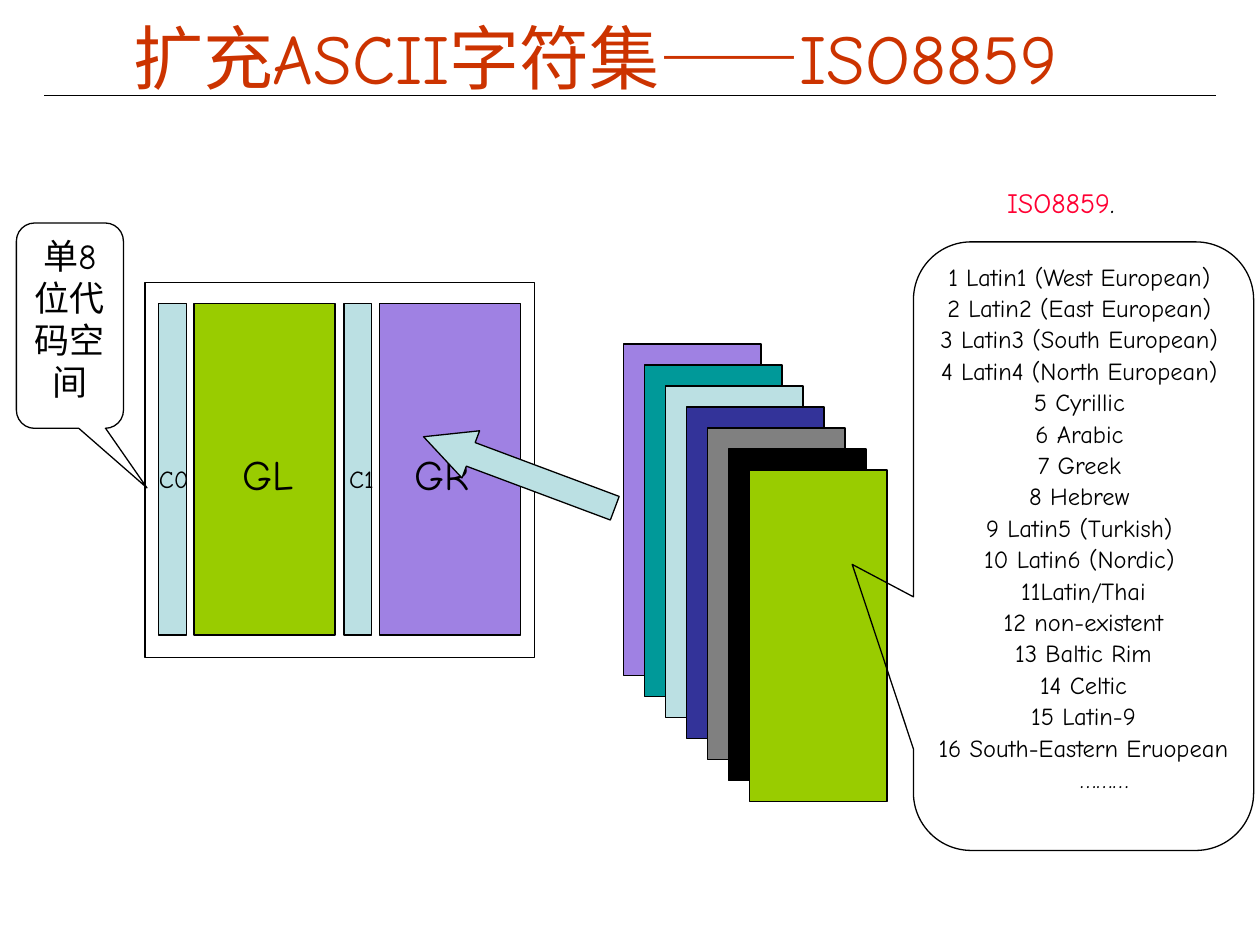
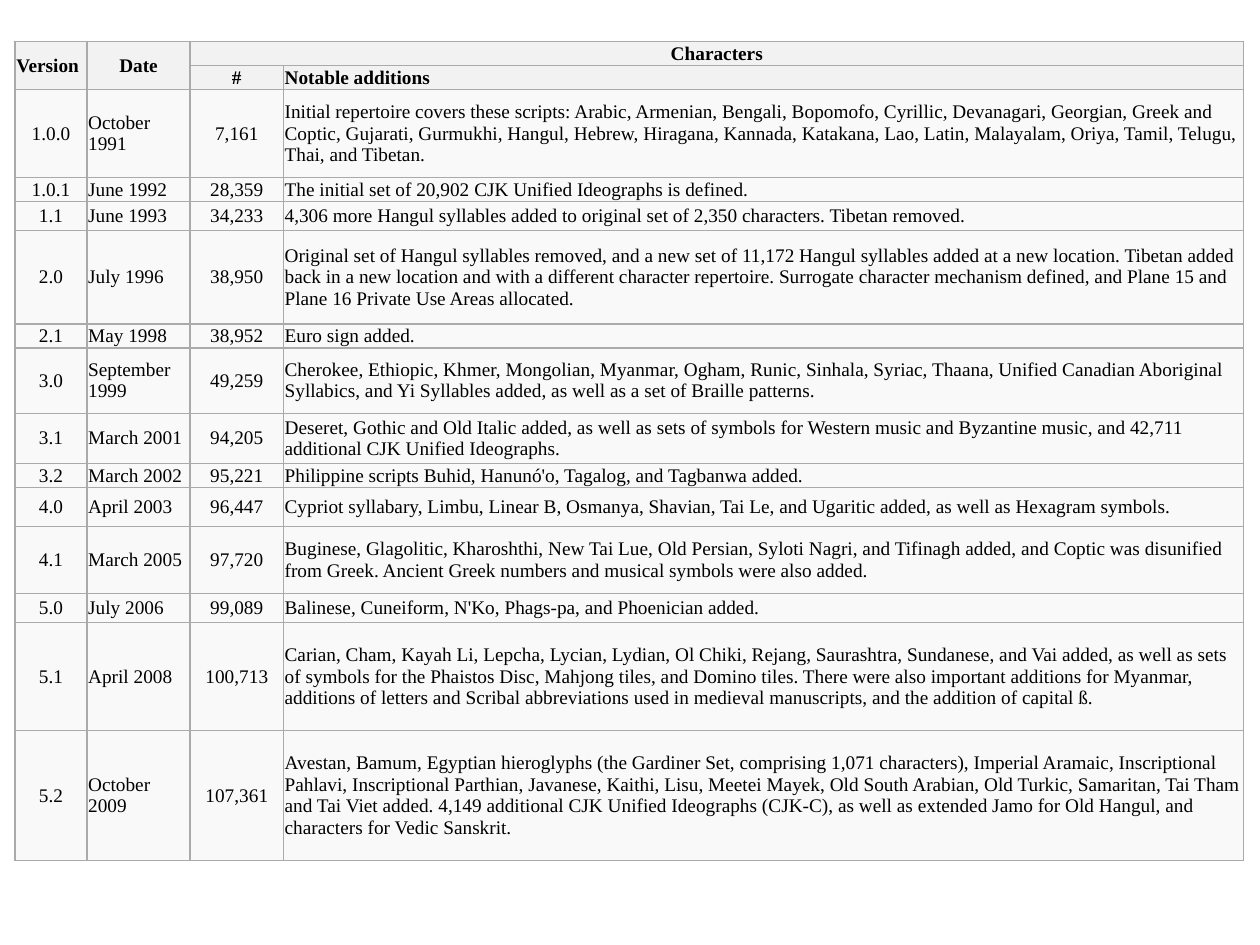
from lxml.etree import SubElement
from pptx import Presentation
from pptx.dml.color import RGBColor
from pptx.enum.shapes import MSO_CONNECTOR, MSO_SHAPE as SHAPE
from pptx.enum.text import MSO_ANCHOR as ANCHOR, PP_ALIGN as ALIGN
from pptx.oxml.ns import qn
from pptx.util import Inches, Pt

COLS, ROWS = 10, 7.5
CELL = Inches(1)
SANS, SERIF = "Comic Neue", "Times New Roman"
BLACK, WHITE, TITLE, ACCENT = "000000", "FFFFFF", "CC3300", "FF0033"
PALE, GREEN, PURPLE = "BBE0E3", "99CC00", "9F81E3"
TEAL, NAVY, GRAY = "009999", "333399", "808080"
HEAD_FILL, BODY_FILL, GRID_LINE = "F2F2F2", "F9F9F9", "AAAAAA"

LATIN_PARTS = [
    "1 Latin1 (West European) ", "2 Latin2 (East European) ",
    "3 Latin3 (South European) ", "4 Latin4 (North European) ",
    "5 Cyrillic ", "6 Arabic ", "7 Greek ", "8 Hebrew ",
    "9 Latin5 (Turkish) ", "10 Latin6 (Nordic) ", "11Latin/Thai",
    "12 non-existent", "13 Baltic Rim", "14 Celtic", "15 Latin-9",
    "16 South-Eastern Eruopean", "………",
]
COL_WIDTHS = [0.57, 0.82, 0.74, 7.62]
FIRST_TIGHT_CELL = (8, 2)
VERSIONS = [
    (0.7, "1.0.0", "October 1991", "7,161",
     "Initial repertoire covers these scripts: Arabic, Armenian, Bengali, Bopomofo, Cyrillic, "
     "Devanagari, Georgian, Greek and Coptic, Gujarati, Gurmukhi, Hangul, Hebrew, Hiragana, "
     "Kannada, Katakana, Lao, Latin, Malayalam, Oriya, Tamil, Telugu, Thai, and Tibetan."),
    (0.19, "1.0.1", "June 1992", "28,359",
     "The initial set of 20,902 CJK Unified Ideographs is defined."),
    (0.23, "1.1", "June 1993", "34,233",
     "4,306 more Hangul syllables added to original set of 2,350 characters. Tibetan removed."),
    (0.74, "2.0", "July 1996", "38,950",
     "Original set of Hangul syllables removed, and a new set of 11,172 Hangul syllables added "
     "at a new location. Tibetan added back in a new location and with a different character "
     "repertoire. Surrogate character mechanism defined, and Plane 15 and Plane 16 Private Use "
     "Areas allocated."),
    (0.19, "2.1", "May 1998", "38,952", "Euro sign added."),
    (0.52, "3.0", "September 1999", "49,259",
     "Cherokee, Ethiopic, Khmer, Mongolian, Myanmar, Ogham, Runic, Sinhala, Syriac, Thaana, "
     "Unified Canadian Aboriginal Syllabics, and Yi Syllables added, as well as a set of "
     "Braille patterns."),
    (0.4, "3.1", "March 2001", "94,205",
     "Deseret, Gothic and Old Italic added, as well as sets of symbols for Western music and "
     "Byzantine music, and 42,711 additional CJK Unified Ideographs."),
    (0.19, "3.2", "March 2002", "95,221",
     "Philippine scripts Buhid, Hanunó'o, Tagalog, and Tagbanwa added."),
    (0.31, "4.0", "April 2003", "96,447",
     "Cypriot syllabary, Limbu, Linear B, Osmanya, Shavian, Tai Le, and Ugaritic added, as well "
     "as Hexagram symbols."),
    (0.53, "4.1", "March 2005", "97,720",
     "Buginese, Glagolitic, Kharoshthi, New Tai Lue, Old Persian, Syloti Nagri, and Tifinagh "
     "added, and Coptic was disunified from Greek. Ancient Greek numbers and musical symbols "
     "were also added."),
    (0.23, "5.0", "July 2006", "99,089",
     "Balinese, Cuneiform, N'Ko, Phags-pa, and Phoenician added."),
    (0.86, "5.1", "April 2008", "100,713",
     "Carian, Cham, Kayah Li, Lepcha, Lycian, Lydian, Ol Chiki, Rejang, Saurashtra, Sundanese, "
     "and Vai added, as well as sets of symbols for the Phaistos Disc, Mahjong tiles, and Domino "
     "tiles. There were also important additions for Myanmar, additions of letters and Scribal "
     "abbreviations used in medieval manuscripts, and the addition of capital ß."),
    (1.03, "5.2", "October 2009", "107,361",
     "Avestan, Bamum, Egyptian hieroglyphs (the Gardiner Set, comprising 1,071 characters), "
     "Imperial Aramaic, Inscriptional Pahlavi, Inscriptional Parthian, Javanese, Kaithi, Lisu, "
     "Meetei Mayek, Old South Arabian, Old Turkic, Samaritan, Tai Tham and Tai Viet added. 4,149 "
     "additional CJK Unified Ideographs (CJK-C), as well as extended Jamo for Old Hangul, and "
     "characters for Vedic Sanskrit."),
]


def rgb(value):
    """Turn a hex string into a colour."""
    return RGBColor.from_string(value)


def grid(*lengths):
    """Turn columns and rows into slide lengths."""
    return [round(n * CELL) for n in lengths]


def apply(obj, **formats):
    """Set each format value as an attribute."""
    for name, value in formats.items():
        setattr(obj, name, value)


def add_run(p, text, size, color=BLACK, font=SANS, bold=False):
    """Add one formatted run to a paragraph."""
    r = p.add_run()
    r.text = text
    apply(r.font, name=font, size=Pt(size), bold=bold)
    r.font.color.rgb = rgb(color)


def space_before(p, percent):
    """Space a paragraph by a share of its line height."""
    p.space_before = Pt(0)
    spacing = p._p.pPr.find(qn("a:spcBef"))
    spacing.clear()
    SubElement(spacing, qn("a:spcPct"), val=str(percent * 1000))


def add_shape(shapes, kind, box, fill=None, line=BLACK, adj=()):
    """Add a flat preset shape in a box of the grid."""
    sp = shapes.add_shape(kind, *grid(*box))
    sp.shadow.inherit = False
    for i, value in enumerate(adj):
        sp.adjustments[i] = value
    if fill:
        sp.fill.solid()
        sp.fill.fore_color.rgb = rgb(fill)
    else:
        sp.fill.background()
    if line:
        sp.line.color.rgb = rgb(line)
        sp.line.width = Pt(0.75)
    else:
        sp.line.fill.background()
    return sp


def write(sp, runs, size, anchor=ANCHOR.TOP, wrap=True, before=50):
    """Write one centred paragraph of (text, colour) runs."""
    tf = sp.text_frame
    apply(tf, word_wrap=wrap, vertical_anchor=anchor)
    p = tf.paragraphs[0]
    p.alignment = ALIGN.CENTER
    space_before(p, before)
    for text, color in runs:
        add_run(p, text, size, color)


def add_label(shapes, text, size, box):
    """Add a short unwrapped label."""
    write(shapes.add_textbox(*grid(*box)), [(text, BLACK)], size, wrap=False)


def add_master_rule(prs, s):
    """Draw the title rule and hand it to the master, so that all slides share it."""
    rule = s.shapes.add_connector(MSO_CONNECTOR.STRAIGHT, *grid(0.35, 0.76, COLS - 0.35, 0.76))
    rule.line.color.rgb = rgb(BLACK)
    rule.line.width = Pt(0.75)
    SubElement(rule._element.spPr, qn("a:effectLst"))
    prs.slide_master.shapes._spTree.append(rule._element)


def add_title(s, text):
    """Place the title."""
    sp = s.shapes.add_textbox(*grid(0.47, 0.21, 8.51, 0.48))
    write(sp, [(text, TITLE)], 40, ANCHOR.MIDDLE, before=0)


def add_code_space(s, box):
    """Draw the 8-bit code space as two halves of control strip and graphic pane."""
    shapes = s.shapes.add_group_shape().shapes
    x, y, w, h = box
    add_shape(shapes, SHAPE.RECTANGLE, box)
    halves = [x + 0.11, x + 0.11 + 1.47]
    top, height = y + 0.17, h - 0.35
    for left in halves:
        add_shape(shapes, SHAPE.RECTANGLE, (left, top, 0.22, height), PALE)
    for left, fill in zip(halves, (GREEN, PURPLE)):
        add_shape(shapes, SHAPE.RECTANGLE, (left + 0.28, top, 1.12, height), fill)
    for text, left in (("C0", 0.01), ("C1", 1.5)):
        add_label(shapes, text, 14, (x + left, y + 1.39, 0.44, 0.34))
    for text, left in (("GR", 1.96), ("GL", 0.58)):
        add_label(shapes, text, 24, (x + left, y + 1.27, 0.79, 0.5))


def add_character_sets(s, box):
    """Draw the stack of code pages with the callout that lists them."""
    shapes = s.shapes.add_group_shape().shapes
    x, y, w, h = box
    fills = [PURPLE, TEAL, PALE, NAVY, GRAY, BLACK, GREEN]
    for i, fill in enumerate(fills):
        shift = i / (len(fills) - 1)
        add_shape(shapes, SHAPE.RECTANGLE, (x + shift, y + 1.31 + shift, 1.09, 2.63), fill)
    sp = add_shape(shapes, SHAPE.ROUNDED_RECTANGULAR_CALLOUT,
                   (x + w - 2.7, y + 0.5, 2.7, h - 0.5), adj=(-0.68, 0.03, 0.17))
    tf = sp.text_frame
    apply(tf, margin_left=0, margin_right=0, word_wrap=True, vertical_anchor=ANCHOR.TOP)
    for i, text in enumerate(LATIN_PARTS):
        p = tf.add_paragraph() if i else tf.paragraphs[0]
        apply(p, alignment=ALIGN.CENTER, line_spacing=0.9)
        space_before(p, 20)
        indent = 0.83 if text == LATIN_PARTS[-1] else 0.5
        p._p.pPr.set("marL", str(Inches(indent)))
        p._p.pPr.set("indent", str(Inches(-0.5)))
        add_run(p, text, 14)
    heading = add_shape(shapes, SHAPE.RECTANGLE, (x + 2.63, y, 1.75, 0.37), WHITE, None)
    write(heading, [("ISO8859", ACCENT), (". ", BLACK)], 16)


def build_iso_slide(prs):
    """Build the slide on extended character sets."""
    s = prs.slides.add_slide(prs.slide_layouts[6])
    add_master_rule(prs, s)
    add_title(s, "扩充ASCII字符集——ISO8859")
    add_code_space(s, (1.15, 2.24, 3.09, 2.98))
    sp = add_shape(s.shapes, SHAPE.ROUNDED_RECTANGULAR_CALLOUT,
                   (0.13, 1.77, 0.85, 1.63), adj=(0.72, 0.79, 0.17))
    write(sp, [("单8位代码空间", BLACK)], 20)
    add_character_sets(s, (4.95, 1.42, 5, 5.33))
    arrow = add_shape(s.shapes, SHAPE.LEFT_ARROW, (3.31, 3.55, 1.62, 0.4), PALE, adj=(0.5, 1))
    arrow.rotation = 20.5


def fill_cell(cell, text, align, fill, bold, gap):
    """Fill one table cell and draw its borders."""
    margin = Inches(0.01)
    apply(cell, vertical_anchor=ANCHOR.MIDDLE, margin_left=margin, margin_right=margin,
          margin_top=margin, margin_bottom=margin)
    cell.fill.solid()
    cell.fill.fore_color.rgb = rgb(fill)
    tcPr = cell._tc.get_or_add_tcPr()
    for i, side in enumerate(("a:lnL", "a:lnR", "a:lnT", "a:lnB")):
        ln = SubElement(tcPr, qn(side), w=str(Pt(1)))
        SubElement(SubElement(ln, qn("a:solidFill")), qn("a:srgbClr"), val=GRID_LINE)
        tcPr.insert(i, ln)
    p = cell.text_frame.paragraphs[0]
    apply(p, alignment=align, space_before=Pt(gap), space_after=Pt(gap))
    if text:
        add_run(p, text, 11, font=SERIF, bold=bold)
    else:
        p.font.size = Pt(11)


def build_version_slide(prs):
    """Build the slide with the table of versions."""
    s = prs.slides.add_slide(prs.slide_layouts[6])
    rows = [(0.19, "Version", "Date", "Characters", ""),
            (0.19, "", "", "#", "Notable additions")] + VERSIONS
    box = grid(0.12, 0.33, sum(COL_WIDTHS), sum(row[0] for row in rows))
    table = s.shapes.add_table(len(rows), len(COL_WIDTHS), *box).table
    for col, width in zip(table.columns, COL_WIDTHS):
        col.width = Inches(width)
    body_aligns = [ALIGN.CENTER, ALIGN.LEFT, ALIGN.CENTER, ALIGN.LEFT]
    head_aligns = [ALIGN.LEFT, ALIGN.CENTER, ALIGN.CENTER, ALIGN.LEFT]
    for i, (height, *texts) in enumerate(rows):
        table.rows[i].height = Inches(height)
        head = i < 2
        for j, text in enumerate(texts):
            align = (head_aligns if head else body_aligns)[j]
            gap = 12 if (i, j) < FIRST_TIGHT_CELL else 0
            fill_cell(table.cell(i, j), text, align, HEAD_FILL if head else BODY_FILL, head, gap)
    for first, last in (((0, 0), (1, 0)), ((0, 1), (1, 1)), ((0, 2), (0, 3))):
        table.cell(*first).merge(table.cell(*last))


def main():
    """Build and save the presentation."""
    prs = Presentation()
    apply(prs, slide_width=Inches(COLS), slide_height=Inches(ROWS))
    build_iso_slide(prs)
    build_version_slide(prs)
    prs.save("out.pptx")


main()
